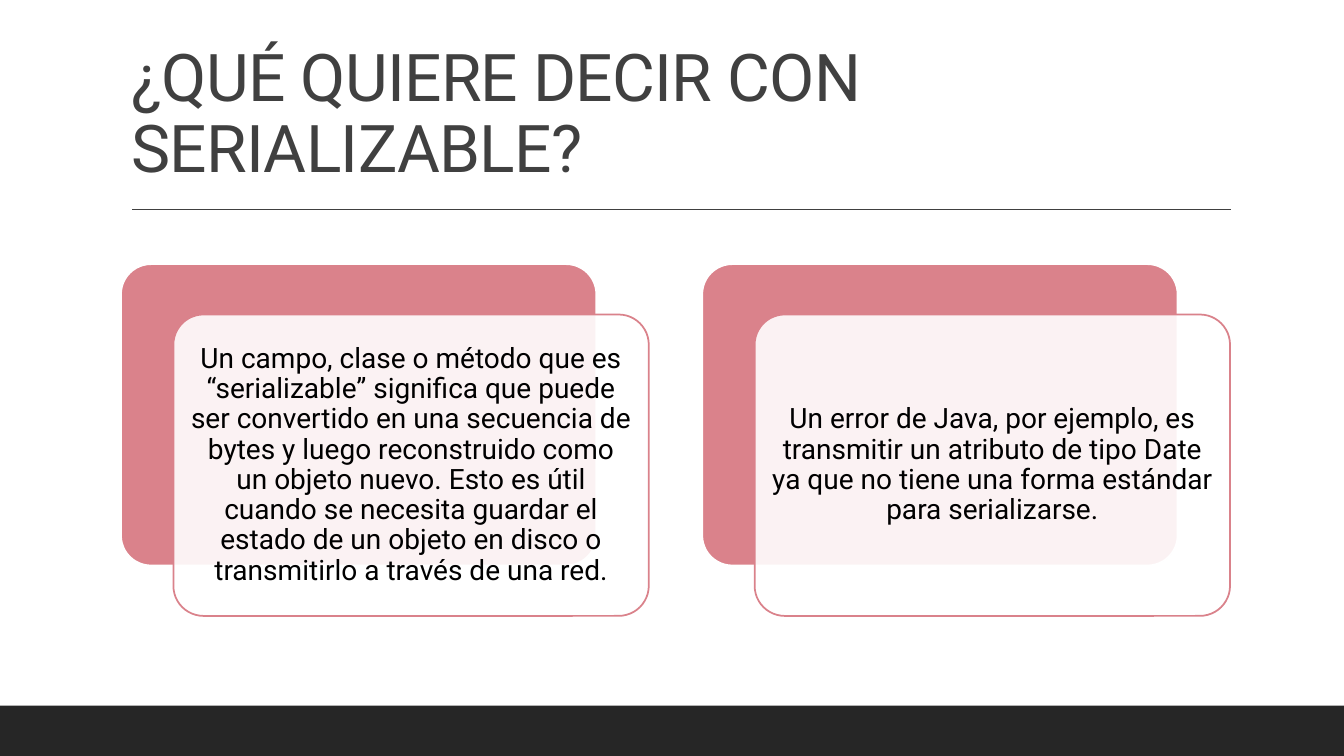
from lxml import etree
from pptx import Presentation
from pptx import util as u
from pptx.dml.color import RGBColor
from pptx.enum import shapes, text
from pptx.oxml import ns

WHITE = RGBColor(0xFF, 0xFF, 0xFF)
BLACK = RGBColor(0x00, 0x00, 0x00)
GRAY = RGBColor(0x40, 0x40, 0x40)
CHARCOAL = RGBColor(0x26, 0x26, 0x26)
ROSE = RGBColor(0xDA, 0x82, 0x8B)

SLIDE_WIDTH, SLIDE_HEIGHT = 13.33, 7.5
FONT = "Roboto"
TITLE = "¿QUÉ QUIERE DECIR CON SERIALIZABLE?"
CARDS = [
    "Un campo, clase o método que es “serializable” significa que puede ser "
    "convertido en una secuencia de bytes y luego reconstruido como un objeto "
    "nuevo. Esto es útil cuando se necesita guardar el estado de un objeto en "
    "disco o transmitirlo a través de una red.",
    "Un error de Java, por ejemplo, es transmitir un atributo de tipo Date ya "
    "que no tiene una forma estándar para serializarse.",
]

TITLE_FRAME = {
    "word_wrap": True,
    "auto_size": text.MSO_AUTO_SIZE.NONE,
    "vertical_anchor": text.MSO_ANCHOR.BOTTOM,
}
CARD_FRAME = {
    "word_wrap": True,
    "vertical_anchor": text.MSO_ANCHOR.MIDDLE,
    **{f"margin_{side}": u.Inches(0.08) for side in ("left", "top", "right", "bottom")},
}


def apply(target, values):
    for name, value in values.items():
        setattr(target, name, value)


def inches(*lengths):
    return [u.Inches(length) for length in lengths]


def write(shape, words, frame_format, size, color, alignment):
    frame = shape.text_frame
    apply(frame, frame_format)
    paragraph = frame.paragraphs[0]
    apply(paragraph, {"alignment": alignment, "line_spacing": 0.9})
    run = paragraph.add_run()
    run.text = words
    apply(run.font, {"name": FONT, "size": u.Pt(size)})
    run.font.color.rgb = color
    return run


def add_block(parent, kind, box, fill, line=None):
    shape = parent.add_shape(kind, *inches(*box))
    shape.shadow.inherit = False
    shape.fill.solid()
    shape.fill.fore_color.rgb = fill
    if line is None:
        shape.line.fill.background()
    else:
        shape.line.color.rgb = line
        shape.line.width = u.Pt(1.25)
    return shape


def add_header(slide, left, top, width, height):
    title = slide.shapes.title
    apply(title, dict(zip(("left", "top", "width", "height"), inches(left, top, width, height))))
    run = write(title, TITLE, TITLE_FRAME, 47, GRAY, text.PP_ALIGN.LEFT)
    run.font._element.set("spc", "-50")
    rule_top = top + height + 0.18
    rule = slide.shapes.add_connector(
        shapes.MSO_CONNECTOR.STRAIGHT,
        *inches(left + 0.11, rule_top, left + width + 0.01, rule_top),
    )
    rule.line.color.rgb = GRAY
    rule.line.width = u.Pt(1)
    etree.SubElement(rule.element.spPr, ns.qn("a:effectLst"))


def add_card(parent, words, left, top, width, height):
    offset_x, offset_y, inset = 0.52, 0.5, 0.09
    panel_width, panel_height = width - offset_x, height - offset_y
    front_left, front_top = left + offset_x, top + offset_y
    rounded = shapes.MSO_SHAPE.ROUNDED_RECTANGLE
    back = add_block(parent, rounded, (left, top, panel_width, panel_height), ROSE, WHITE)
    front = add_block(
        parent, rounded, (front_left, front_top, panel_width, panel_height), WHITE, ROSE
    )
    for panel in (back, front):
        panel.adjustments[0] = 0.1
    front_color = front.element.spPr.find(ns.qn("a:solidFill"))[0]
    etree.SubElement(front_color, ns.qn("a:alpha"), val="90000")
    label = parent.add_textbox(
        *inches(
            front_left + inset,
            front_top + inset,
            panel_width - 2 * inset,
            panel_height - 2 * inset,
        )
    )
    write(label, words, CARD_FRAME, 20, BLACK, text.PP_ALIGN.CENTER)


def add_cards(slide, left, top, width, height):
    group = slide.shapes.add_group_shape()
    gap = 0.53
    card_width = (width - gap * (len(CARDS) - 1)) / len(CARDS)
    for index, words in enumerate(CARDS):
        card_left = left + index * (card_width + gap)
        add_card(group.shapes, words, card_left, top, card_width, height)


def build_slide(presentation):
    slide = presentation.slides.add_slide(presentation.slide_layouts[5])
    slide.background.fill.solid()
    slide.background.fill.fore_color.rgb = WHITE
    add_header(slide, 1.2, 0.31, 11, 1.59)
    footer = (0, SLIDE_HEIGHT - 0.5, SLIDE_WIDTH, 0.5)
    add_block(slide.shapes, shapes.MSO_SHAPE.RECTANGLE, footer, CHARCOAL)
    add_cards(slide, 1.2, 2.62, 11, 3.49)


presentation = Presentation()
presentation.slide_width, presentation.slide_height = inches(SLIDE_WIDTH, SLIDE_HEIGHT)
build_slide(presentation)
presentation.save("out.pptx")
